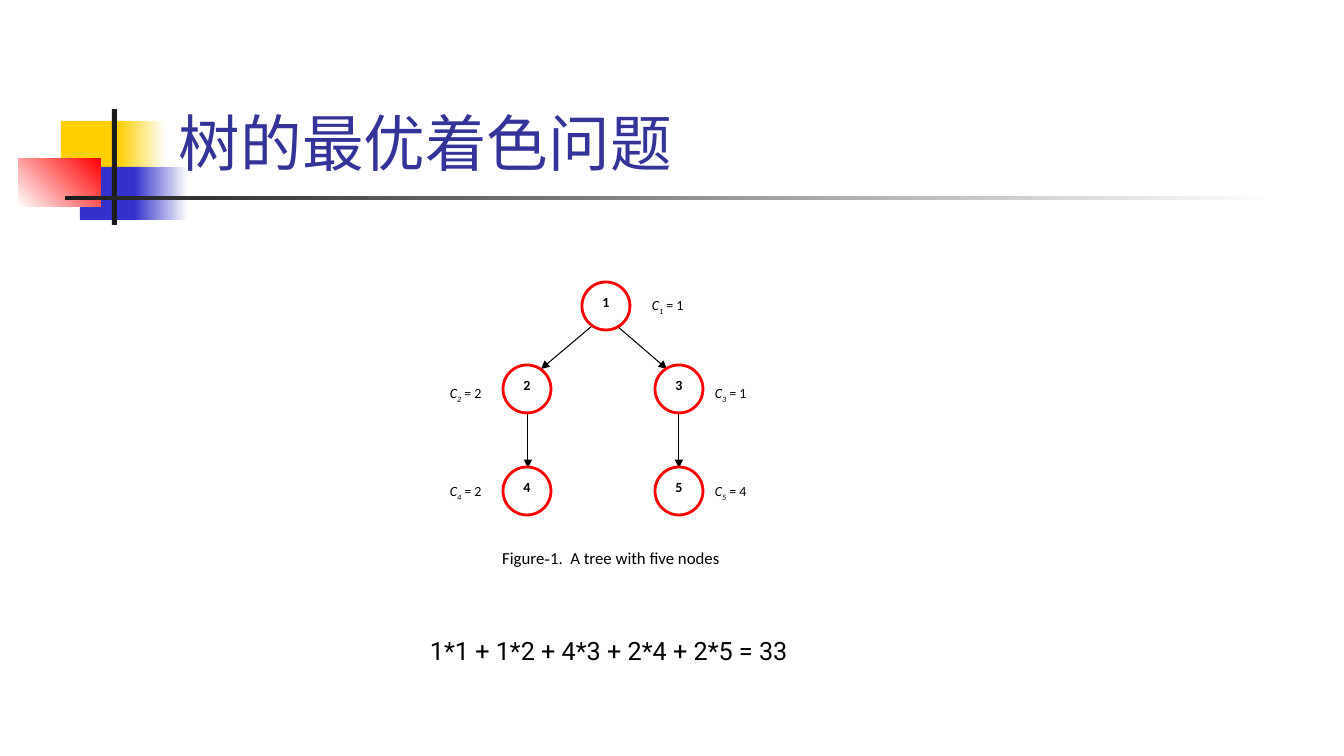
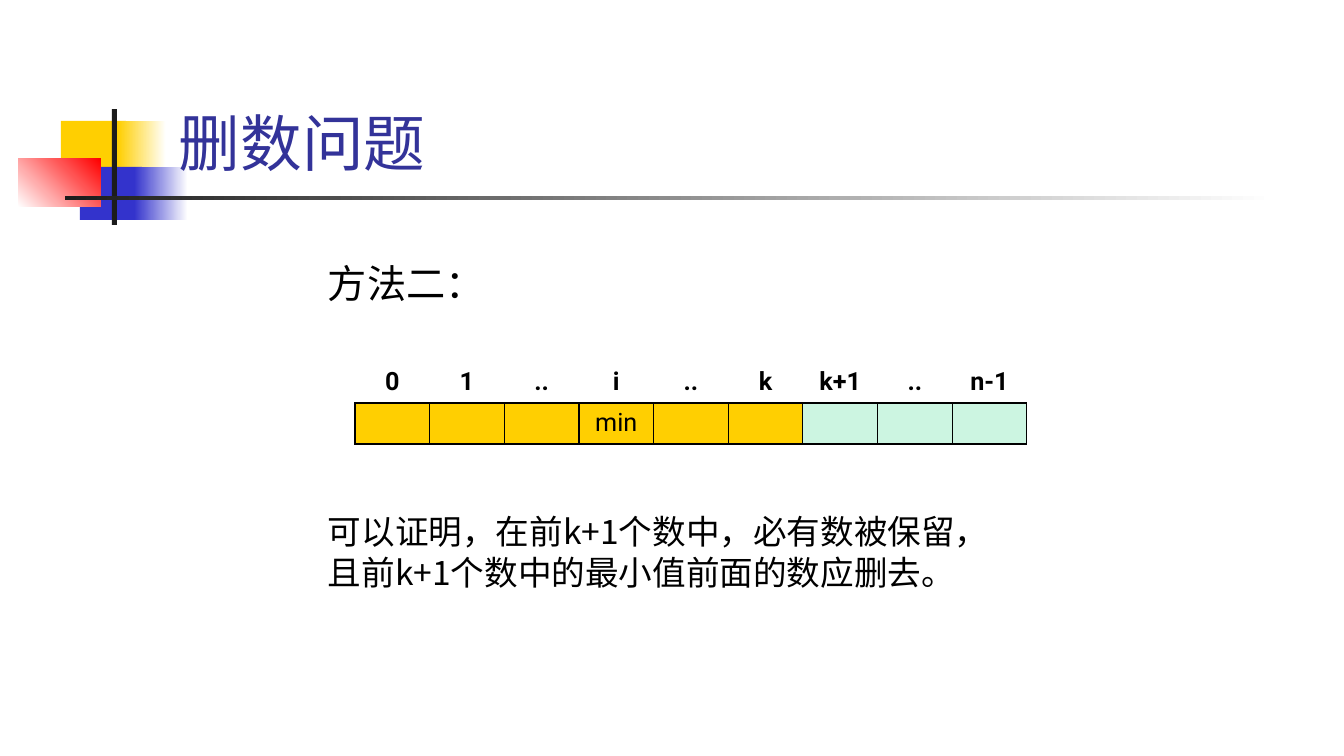
from dataclasses import dataclass
from typing import NamedTuple, Optional

from lxml.etree import SubElement
from pptx import Presentation
from pptx.dml.color import RGBColor
from pptx.enum.shapes import MSO_CONNECTOR, MSO_SHAPE
from pptx.enum.text import MSO_ANCHOR, PP_ALIGN
from pptx.oxml.ns import qn
from pptx.util import Emu, Pt

PIXELS_PER_INCH = 100.8
BLACK, WHITE, INK = "000000", "FFFFFF", "1C1C1C"
YELLOW, BLUE, RED, MINT = "FFCF01", "3333CC", "FF0000", "CCF5E1"
TITLE_COLOR = "333399"
SANS, FIGURE_FONT, CJK = "Roboto", "Calibri", "Noto Sans CJK SC"
NODE_SIZE = 48


class Box(NamedTuple):
    """A rectangle in pixels."""
    left: int
    top: int
    width: int
    height: int


class Piece(NamedTuple):
    """A run of text with what sets it apart from its paragraph."""
    text: str
    italic: bool = False
    subscript: bool = False
    font: Optional[str] = None


class Band(NamedTuple):
    """A decorative rectangle, fading to a second colour when one is given."""
    box: Box
    color: str
    fade_to: Optional[str] = None
    angle: int = 0


@dataclass(frozen=True)
class Node:
    """A tree node with its cost and the place of its cost label."""
    number: int
    cost: int
    left: int
    top: int
    label_left: int
    label_top: int


class Edge(NamedTuple):
    """An arrow from parent to child, in pixels."""
    x1: int
    y1: int
    x2: int
    y2: int


BANDS = [
    Band(Box(61, 121, 65, 52), YELLOW),
    Band(Box(118, 121, 48, 52), YELLOW, WHITE),
    Band(Box(80, 167, 62, 53), BLUE),
    Band(Box(134, 167, 54, 53), BLUE, WHITE),
    Band(Box(18, 159, 83, 48), WHITE, RED, 45),
    Band(Box(112, 109, 5, 116), INK),
    Band(Box(65, 196, 1210, 4), INK, WHITE),
]
NODES = [
    Node(1, 1, 582, 282, 642, 292),
    Node(2, 2, 503, 365, 440, 380),
    Node(3, 1, 655, 365, 705, 380),
    Node(4, 2, 503, 467, 440, 478),
    Node(5, 4, 655, 467, 705, 478),
]
EDGES = [
    Edge(592, 326, 541, 369),
    Edge(617, 326, 667, 369),
    Edge(528, 412, 528, 468),
    Edge(679, 412, 679, 468),
]
INDEXES = ["0", "1", "..", "i", "..", "k", "k+1", "..", "n-1"]
KEPT_COUNT = INDEXES.index("k") + 1
MIN_COLUMN = INDEXES.index("i")


def px(pixels: float) -> Emu:
    """Turn pixels into EMU."""
    return Emu(round(pixels * 914400 / PIXELS_PER_INCH))


def rgb(color: str) -> RGBColor:
    """Turn a hex string into a colour."""
    return RGBColor.from_string(color)


def write(frame, *paragraphs, font=SANS, size=18, color=BLACK, bold=False,
          align=PP_ALIGN.LEFT, anchor=MSO_ANCHOR.TOP, spacing=None):
    """Fill a text frame; a paragraph is a string or a list of pieces."""
    frame.word_wrap = True
    frame.vertical_anchor = anchor
    for index, content in enumerate(paragraphs):
        paragraph = frame.add_paragraph() if index else frame.paragraphs[0]
        paragraph.alignment = align
        if spacing:
            paragraph.line_spacing = Pt(spacing)
        pieces = [Piece(content)] if isinstance(content, str) else content
        for piece in pieces:
            run = paragraph.add_run()
            run.text = piece.text
            run.font.name = piece.font or font
            run.font.size = Pt(size)
            run.font.bold = bold
            run.font.italic = piece.italic
            run.font.color.rgb = rgb(color)
            properties = run._r.get_or_add_rPr()
            SubElement(properties, qn("a:ea")).set("typeface", piece.font or font)
            if piece.subscript:
                properties.set("baseline", "-25000")


def add_text(slide, box: Box, *paragraphs, **text_format):
    """Add a text box."""
    write(slide.shapes.add_textbox(*map(px, box)).text_frame,
          *paragraphs, **text_format)


def add_preset(slide, kind, box: Box, fill=None, line=None, weight=0.75):
    """Add a flat preset shape with optional fill and outline."""
    preset = slide.shapes.add_shape(kind, *map(px, box))
    preset.shadow.inherit = False
    if fill:
        preset.fill.solid()
        preset.fill.fore_color.rgb = rgb(fill)
    else:
        preset.fill.background()
    if line:
        preset.line.color.rgb = rgb(line)
        preset.line.width = Pt(weight)
    else:
        preset.line.fill.background()
    return preset


def add_arrow(slide, edge: Edge):
    """Draw a thin black arrow."""
    arrow = slide.shapes.add_connector(MSO_CONNECTOR.STRAIGHT, *map(px, edge))
    arrow.line.color.rgb = rgb(BLACK)
    arrow.line.width = Pt(0.75)
    SubElement(arrow.line._get_or_add_ln(), qn("a:tailEnd")).set("type", "triangle")
    SubElement(arrow._element.spPr, qn("a:effectLst"))


def add_titled_slide(deck, title: str):
    """Add a blank slide with the shared bands and title."""
    slide = deck.slides.add_slide(deck.slide_layouts[6])
    for band in BANDS:
        block = add_preset(slide, MSO_SHAPE.RECTANGLE, band.box, band.color)
        if band.fade_to:
            block.fill.gradient()
            block.fill.gradient_angle = band.angle
            for stop, color in zip(block.fill.gradient_stops,
                                   (band.color, band.fade_to)):
                stop.color.rgb = rgb(color)
    add_text(slide, Box(169, 23, 1145, 161), title, size=44,
             color=TITLE_COLOR, anchor=MSO_ANCHOR.BOTTOM)
    return slide


def set_borders(cell, **colors: str):
    """Give the cell sides L, R, T, B one-point lines."""
    properties = cell._tc.get_or_add_tcPr()
    for side, color in colors.items():
        border = SubElement(properties, qn(f"a:ln{side}"), w=str(Pt(1)))
        fill = SubElement(border, qn("a:solidFill"))
        SubElement(fill, qn("a:srgbClr")).set("val", color)


def add_number_table(slide, box: Box):
    """Draw the array of digits under its indexes."""
    table = slide.shapes.add_table(2, len(INDEXES), *map(px, box)).table
    table.first_row = table.horz_banding = False
    for row in table.rows:
        row.height = px(box.height / 2)
    for column, index in enumerate(INDEXES):
        table.columns[column].width = px(box.width / len(INDEXES))
        heading, digit = table.cell(0, column), table.cell(1, column)
        set_borders(heading, L=WHITE, R=WHITE, T=WHITE, B=BLACK)
        heading.fill.background()
        write(heading.text_frame, index, bold=True, align=PP_ALIGN.CENTER)
        set_borders(digit, L=BLACK, R=BLACK, T=BLACK, B=BLACK)
        digit.fill.solid()
        digit.fill.fore_color.rgb = rgb(YELLOW if column < KEPT_COUNT else MINT)
        if column == MIN_COLUMN:
            write(digit.text_frame, "min", align=PP_ALIGN.CENTER)


def build_tree_slide(deck):
    """Build the slide on colouring a tree."""
    slide = add_titled_slide(deck, "树的最优着色问题")
    places = [Box(node.left, node.top, NODE_SIZE, NODE_SIZE) for node in NODES]
    for node, place in zip(NODES, places):
        disc = add_preset(slide, MSO_SHAPE.OVAL, place, WHITE, BLACK)
        write(disc.text_frame, str(node.number), font=FIGURE_FONT, size=10,
              bold=True, align=PP_ALIGN.CENTER)
    for edge in EDGES:
        add_arrow(slide, edge)
    for node in NODES:
        label = add_preset(slide, MSO_SHAPE.RECTANGLE,
                           Box(node.label_left, node.label_top, 62, 33), WHITE)
        write(label.text_frame,
              [Piece("C", italic=True),
               Piece(str(node.number), italic=True, subscript=True),
               Piece(f" = {node.cost}")],
              font=FIGURE_FONT, size=10, align=PP_ALIGN.JUSTIFY)
    caption = add_preset(slide, MSO_SHAPE.RECTANGLE, Box(481, 543, 260, 33), WHITE)
    write(caption.text_frame,
          [Piece("Figure"), Piece("-", font="Times New Roman"),
           Piece("1.  A tree with five nodes")],
          font=FIGURE_FONT, size=12, align=PP_ALIGN.CENTER)
    add_text(slide, Box(420, 630, 430, 40), "1*1 + 1*2 + 4*3 + 2*4 + 2*5 = 33")
    for place in places:
        add_preset(slide, MSO_SHAPE.OVAL, place, line=RED, weight=2)


def build_deletion_slide(deck):
    """Build the slide on deleting digits."""
    slide = add_titled_slide(deck, "删数问题")
    add_text(slide, Box(318, 254, 178, 57), "方法二：",
             font=CJK, size=28, spacing=34)
    add_text(slide, Box(318, 506, 695, 92),
             "可以证明，在前k+1个数中，必有数被保留，",
             "且前k+1个数中的最小值前面的数应删去。",
             font=CJK, size=24, spacing=29)
    add_number_table(slide, Box(355, 362, 672, 82))


def main():
    """Build and save the deck."""
    deck = Presentation()
    deck.slide_width, deck.slide_height = px(1344), px(756)
    build_tree_slide(deck)
    build_deletion_slide(deck)
    deck.save("out.pptx")


main()
